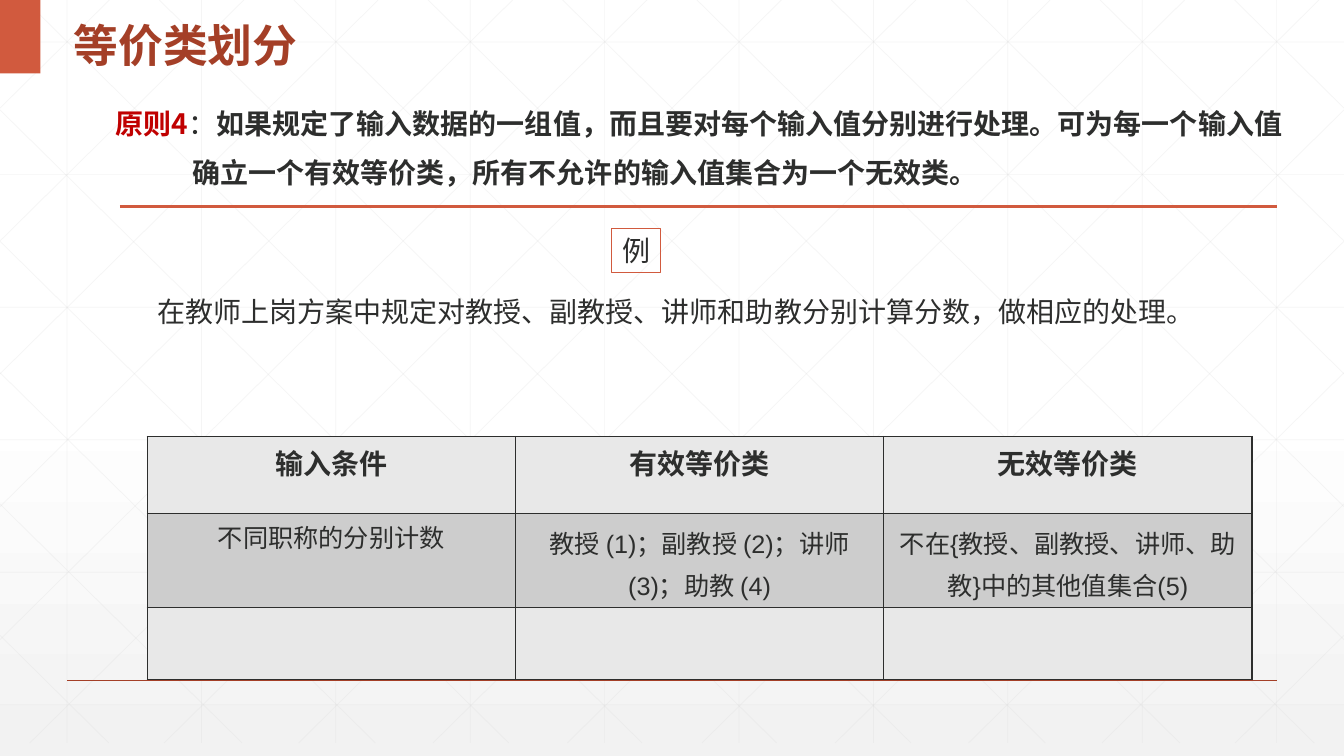
from dataclasses import dataclass

from lxml import etree
from pptx import Presentation
from pptx.dml.color import RGBColor
from pptx.enum.shapes import MSO_CONNECTOR, MSO_SHAPE
from pptx.enum.text import MSO_ANCHOR, MSO_AUTO_SIZE, PP_ALIGN
from pptx.oxml.ns import qn
from pptx.util import Cm, Pt

STRAIGHT = MSO_CONNECTOR.STRAIGHT
RECT = MSO_SHAPE.RECTANGLE
LEFT, CENTER = PP_ALIGN.LEFT, PP_ALIGN.CENTER
TOP, MIDDLE = MSO_ANCHOR.TOP, MSO_ANCHOR.MIDDLE
NO_FIT = MSO_AUTO_SIZE.NONE
WIDTH, HEIGHT = 33.87, 19.05


@dataclass(frozen=True)
class Theme:
    accent: str = "D15A3E"
    dark_accent: str = "A43F27"
    key: str = "C00000"
    ink: str = "2D2E2D"
    grid: str = "D9D9D9"
    white: str = "FFFFFF"
    mist: str = "F2F2F2"
    light_row: str = "E8E8E8"
    dark_row: str = "CDCDCD"
    title: int = 32
    body: int = 20
    cell: int = 18
    latin: str = "Arial"
    cjk: str = "Noto Sans CJK SC"


T = Theme()


def rgb(value):
    return RGBColor.from_string(value)


def set_attrs(obj, values):
    for name, value in values.items():
        setattr(obj, name, value)


def add_run(p, text, size=T.body, color=T.ink, bold=False, font=T.latin):
    r = p.add_run()
    r.text = text
    set_attrs(r.font, {"size": Pt(size), "bold": bold, "name": font})
    r.font.color.rgb = rgb(color)
    etree.SubElement(r.font._element, qn("a:ea"), typeface=T.cjk)


def add_line(s, start, end, color, width, opacity=None):
    points = [Cm(v) for v in (*start, *end)]
    line = s.shapes.add_connector(STRAIGHT, *points)
    line.line.color.rgb = rgb(color)
    line.line.width = Pt(width)
    sp_pr = line._element.spPr
    if opacity is not None:
        clr = sp_pr.find(".//" + qn("a:srgbClr"))
        etree.SubElement(clr, qn("a:alpha"), val=str(opacity * 1000))
    etree.SubElement(sp_pr, qn("a:effectLst"))


def add_rect(s, left, top, width, height, fill=None, outline=None):
    sp = s.shapes.add_shape(RECT, Cm(left), Cm(top), Cm(width), Cm(height))
    sp.shadow.inherit = False
    if fill:
        sp.fill.solid()
        sp.fill.fore_color.rgb = rgb(fill)
    else:
        sp.fill.background()
    if outline:
        sp.line.color.rgb = rgb(outline)
        sp.line.width = Pt(0.75)
    else:
        sp.line.fill.background()
    return sp


def add_text(s, left, top, width, height, paragraphs, spacing):
    sp = s.shapes.add_textbox(Cm(left), Cm(top), Cm(width), Cm(height))
    tf = sp.text_frame
    tf.word_wrap = True
    for i, (indent, runs) in enumerate(paragraphs):
        p = tf.add_paragraph() if i else tf.paragraphs[0]
        p.line_spacing = spacing
        if indent:
            p._p.get_or_add_pPr().set("marL", str(Cm(indent)))
        for text, values in runs:
            add_run(p, text, font=T.cjk, **values)


def paint_background(s):
    fill = s.background.fill
    fill.gradient()
    fill.gradient_angle = 270
    stops = zip(fill.gradient_stops, (0.53, 1), (T.white, T.mist))
    for stop, position, color in stops:
        stop.position = position
        stop.color.rgb = rgb(color)


def draw_grid(s):
    bottom, run, step = 18.72, 18.94, WIDTH / 10
    lines = []
    for i in range(10):
        x = 1.69 + step * i
        lines.append(((x, 0), (x, bottom)))
    for i in range(6):
        y = 1.06 + 3.34 * i
        lines.append(((0, y), (WIDTH, y)))
    diagonals = []
    for i in range(10):
        x = 0.63 + step * i
        reach = min(run, WIDTH - x)
        diagonals.append(((x, 0), (x + reach, reach * bottom / run)))
    for i in range(5):
        diagonals.append(((0, 2.77 + 3.31 * i), (16.18 - 3.36 * i, bottom)))
    mirrored = [((WIDTH - x1, y1), (WIDTH - x2, y2))
                for (x1, y1), (x2, y2) in diagonals]
    for start, end in lines + diagonals + mirrored:
        add_line(s, start, end, T.grid, 0.5, 25)


def set_title(s, text):
    sp = s.shapes.title
    s.shapes._spTree.append(sp._element)
    set_attrs(sp, {"left": Cm(1.6), "top": Cm(0),
                   "width": Cm(14.45), "height": Cm(1.85)})
    tf = sp.text_frame
    set_attrs(tf, {"vertical_anchor": MIDDLE, "word_wrap": True,
                   "auto_size": NO_FIT})
    p = tf.paragraphs[0]
    set_attrs(p, {"alignment": LEFT, "line_spacing": 1.3})
    add_run(p, text, T.title, T.dark_accent, True)


def add_example_tag(s, text):
    sp = add_rect(s, 15.42, 5.77, 1.22, 1.11, outline=T.accent)
    tf = sp.text_frame
    set_attrs(tf, {"word_wrap": False, "vertical_anchor": TOP})
    p = tf.paragraphs[0]
    p.alignment = CENTER
    add_run(p, text)


def set_borders(cell):
    tc_pr = cell._tc.get_or_add_tcPr()
    for i, side in enumerate(("lnL", "lnR", "lnT", "lnB")):
        ln = etree.Element(qn("a:" + side), w=str(Pt(1)))
        fill = etree.SubElement(ln, qn("a:solidFill"))
        etree.SubElement(fill, qn("a:srgbClr"), val=T.ink)
        tc_pr.insert(i, ln)


def add_class_table(s, rows, heights):
    frame = s.shapes.add_table(len(rows), len(rows[0]), Cm(3.71), Cm(11),
                               Cm(27.84), Cm(sum(heights)))
    table = frame.table
    for i, (texts, height) in enumerate(zip(rows, heights)):
        table.rows[i].height = Cm(height)
        for j, text in enumerate(texts):
            cell = table.cell(i, j)
            cell.fill.solid()
            cell.fill.fore_color.rgb = rgb(T.dark_row if i % 2 else T.light_row)
            set_borders(cell)
            if not text:
                continue
            p = cell.text_frame.paragraphs[0]
            p.alignment = CENTER
            if i and j:
                p.line_spacing = Pt(30)
            add_run(p, text, T.cell if i else T.body, bold=i == 0)


def main():
    prs = Presentation()
    set_attrs(prs, {"slide_width": Cm(WIDTH), "slide_height": Cm(HEIGHT)})
    s = prs.slides.add_slide(prs.slide_layouts[5])
    paint_background(s)
    draw_grid(s)
    add_line(s, (1.69, 17.15), (32.18, 17.15), T.dark_accent, 1)
    add_rect(s, 0, 0, 1.02, 1.85, fill=T.accent)
    set_title(s, "等价类划分")
    add_line(s, (3.02, 5.21), (32.18, 5.21), T.accent, 2)
    add_example_tag(s, "例")
    add_text(s, 2.67, 2.18, 30.4, 2.08, [
        (0, [("原则4", {"color": T.key, "bold": True}),
             ("：", {}),
             ("如果规定了输入数据的一组值，而且要对每个输入值分别进行处理。可为每一个输入值",
              {"bold": True})]),
        (1.93, [("确立一个有效等价类，所有不允许的输入值集合为一个无效类。",
                 {"bold": True})]),
    ], Pt(35))
    add_text(s, 3.71, 7.14, 27.38, 1.27, [
        (0, [("在教师上岗方案中规定对教授、副教授、讲师和助教分别计算分数，做相应的处理。", {})]),
    ], 1.2)
    add_class_table(s, [
        ("输入条件", "有效等价类", "无效等价类"),
        ("不同职称的分别计数",
         "教授 (1)；副教授 (2)；讲师 (3)；助教 (4)",
         "不在{教授、副教授、讲师、助教}中的其他值集合(5)"),
        ("", "", ""),
    ], (1.94, 2.36, 1.81))
    prs.save("out.pptx")


if __name__ == "__main__":
    main()
